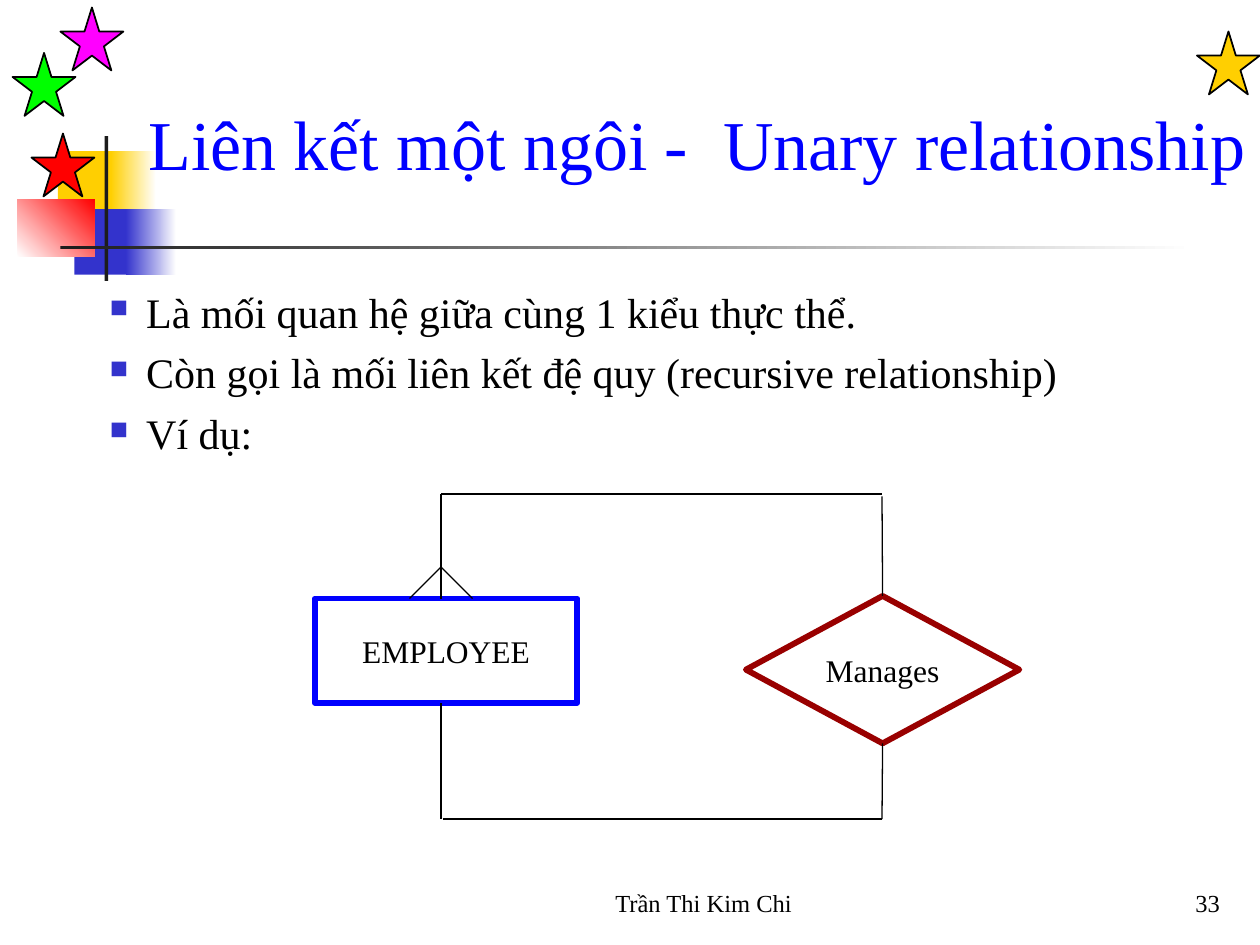
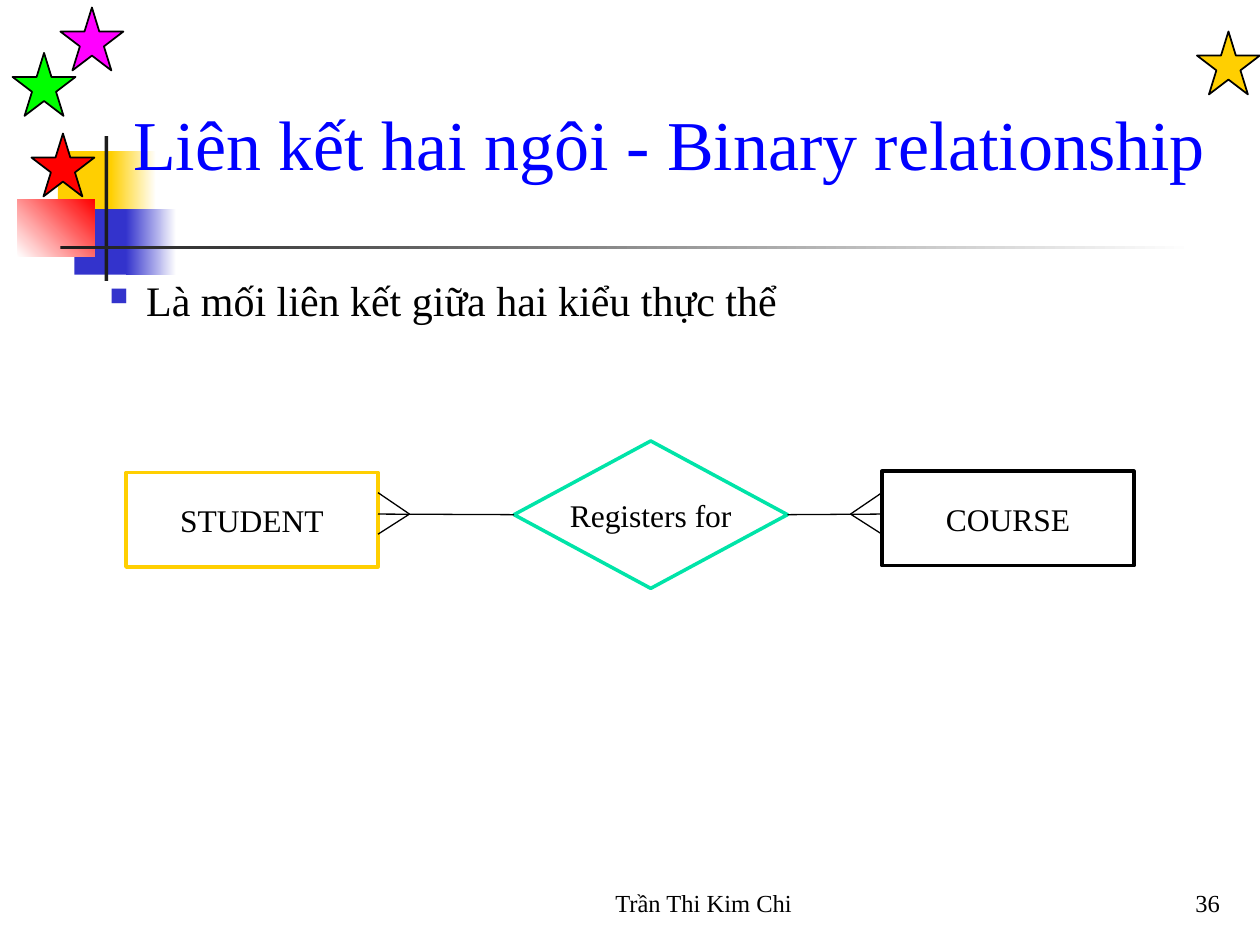
"""Build two slides on unary and binary relationships in an entity diagram."""
from lxml import etree
from pptx import Presentation
from pptx import util as u
from pptx.dml import color
from pptx.enum import shapes, text
from pptx.oxml import ns

FONT = "Times New Roman"
BLACK, WHITE, YELLOW, BLUE = "000000", "FFFFFF", "FFCF01", "3333CC"
RED, TITLE_BLUE, CHARCOAL = "FF0000", "0000FF", "1C1C1C"
KIND = shapes.MSO_SHAPE
ALIGN, ANCHOR = text.PP_ALIGN, text.MSO_ANCHOR
rgb = color.RGBColor.from_string


def add_figure(slide, kind, at, fill, line=None, weight=1, angle=0):
    """Add a preset shape; a pair of fill colours makes a gradient."""
    figure = slide.shapes.add_shape(kind, *map(u.Inches, at))
    figure.shadow.inherit = False
    if isinstance(fill, tuple):
        figure.fill.gradient()
        figure.fill.gradient_angle = angle
        for stop, shade in zip(figure.fill.gradient_stops, fill):
            stop.color.rgb = rgb(shade)
    else:
        figure.fill.solid()
        figure.fill.fore_color.rgb = rgb(fill)
    if line:
        figure.line.color.rgb = rgb(line)
        figure.line.width = u.Pt(weight)
    else:
        figure.line.fill.background()
    return figure


def write(holder, lines, size, shade=BLACK, align=ALIGN.LEFT, anchor=ANCHOR.MIDDLE, wrap=True):
    """Write one paragraph per line and return the text frame."""
    frame = holder.text_frame
    frame.word_wrap, frame.vertical_anchor = wrap, anchor
    frame.text = "\n".join(lines)
    for paragraph in frame.paragraphs:
        paragraph.alignment = align
        paragraph.font.name, paragraph.font.size = FONT, u.Pt(size)
        paragraph.font.color.rgb = rgb(shade)
    return frame


bands = [
    ((0.46, 1.2, 0.48, 0.52), YELLOW, 0),
    ((0.88, 1.2, 0.36, 0.52), (YELLOW, WHITE), 0),
    ((0.59, 1.66, 0.46, 0.52), BLUE, 0),
    ((1, 1.66, 0.4, 0.52), (BLUE, WHITE), 0),
    ((0.14, 1.58, 0.61, 0.46), (WHITE, RED), 45),
    ((0.83, 1.08, 0.03, 1.15), CHARCOAL, 0),
    ((0.48, 1.95, 9, 0.03), (CHARCOAL, WHITE), 0),
]
stars = [(9.5, 0.25, YELLOW), (0.25, 1.06, RED), (0.1, 0.42, "00FF00"), (0.48, 0.06, "FF00FF")]

# Each link is x1, y1, x2, y2 and the side of the relationship it ends on, if any.
topics = [
    {
        "number": "33",
        "title": "Liên kết một ngôi -  Unary relationship",
        "title_at": (1.08, 0.33, 10.07, 1.6),
        "body_top": 2.17,
        "points": [
            "Là mối quan hệ giữa cùng 1 kiểu thực thể.",
            "Còn gọi là mối liên kết đệ quy (recursive relationship)",
            "Ví dụ:",
        ],
        "weight": 3.35,
        "entities": [("EMPLOYEE", (2.5, 4.75, 2.08, 0.83), TITLE_BLUE)],
        "relationship": ("Manages", (5.92, 4.73, 2.17, 1.17), "990000"),
        "links": [
            (3.5, 4.75, 3.5, 3.92, None),
            (3.5, 3.92, 7, 3.92, None),
            (7, 3.94, 7, 4.69, 0),
            (3.5, 5.58, 3.5, 6.5, None),
            (3.52, 6.5, 7, 6.5, None),
            (7, 6.5, 7, 5.92, 2),
            (3.5, 4.5, 3.25, 4.75, None),
            (3.5, 4.5, 3.75, 4.75, None),
        ],
    },
    {
        "number": "36",
        "title": "Liên kết hai ngôi - Binary relationship",
        "title_at": (0.96, 0.33, 10.57, 1.6),
        "body_top": 2.08,
        "points": ["Là mối liên kết giữa hai kiểu thực thể"],
        "weight": 2,
        "entities": [
            ("STUDENT", (1, 3.75, 2, 0.75), YELLOW),
            ("COURSE", (7, 3.74, 2, 0.75), BLACK),
        ],
        "relationship": ("Registers for", (4.08, 3.5, 2.17, 1.17), "00E4A8"),
        "links": [
            (3, 4.08, 4.08, 4.08, 1),
            (7, 4.08, 6.25, 4.08, 3),
            (3.25, 4.08, 3, 3.91, None),
            (3.25, 4.08, 3, 4.24, None),
            (6.75, 4.08, 7, 3.91, None),
            (6.75, 4.08, 7, 4.24, None),
        ],
    },
]

deck = Presentation()
deck.slide_width, deck.slide_height = u.Inches(10), u.Inches(7.5)

for topic in topics:
    slide = deck.slides.add_slide(deck.slide_layouts[6])
    for at, fill, angle in bands:
        add_figure(slide, KIND.RECTANGLE, at, fill, angle=angle)
    for left, top, fill in stars:
        add_figure(slide, KIND.STAR_5_POINT, (left, top, 0.5, 0.5), fill, BLACK)

    for words, left, width, align in [
        (topic["number"], 7.7, 2.08, ALIGN.RIGHT),
        ("Trần Thi Kim Chi", 4, 3.17, ALIGN.CENTER),
    ]:
        footer = slide.shapes.add_textbox(*map(u.Inches, (left, 6.83, width, 0.5)))
        write(footer, [words], 14, align=align, anchor=ANCHOR.BOTTOM)

    title = slide.shapes.add_textbox(*map(u.Inches, topic["title_at"]))
    write(title, [topic["title"]], 40, TITLE_BLUE)

    body = slide.shapes.add_textbox(*map(u.Inches, (0.67, topic["body_top"], 8.95, 4.58)))
    frame = write(body, topic["points"], 24, anchor=ANCHOR.TOP)
    frame.margin_left, frame.margin_top = u.Inches(0.2), u.Inches(0.1)
    for point in frame.paragraphs:
        point.space_before = u.Pt(6)
        props = point._p.get_or_add_pPr()
        props.set("marL", str(u.Inches(0.29)))
        props.set("indent", str(-u.Inches(0.29)))
        bullet = [
            etree.Element(ns.qn("a:buClr")),
            etree.Element(ns.qn("a:buSzPct"), val="60000"),
            etree.Element(ns.qn("a:buChar"), char="■"),
        ]
        etree.SubElement(bullet[0], ns.qn("a:srgbClr"), val=BLUE)
        for offset, part in enumerate(bullet, 1):
            props.insert(offset, part)

    for name, at, line in topic["entities"]:
        entity = add_figure(slide, KIND.RECTANGLE, at, WHITE, line, topic["weight"])
        write(entity, [name], 18, align=ALIGN.CENTER, wrap=False)
    name, at, line = topic["relationship"]
    relationship = add_figure(slide, KIND.DIAMOND, at, WHITE, line, topic["weight"])
    write(relationship, [name], 18, align=ALIGN.CENTER, wrap=False)

    for *ends, side in topic["links"]:
        link = slide.shapes.add_connector(shapes.MSO_CONNECTOR.STRAIGHT, *map(u.Inches, ends))
        link.line.color.rgb = rgb(BLACK)
        link.line.width = u.Pt(0.75)
        etree.SubElement(link._element.spPr, ns.qn("a:effectLst"))
        if side is not None:
            link.end_connect(relationship, side)

deck.save("out.pptx")
